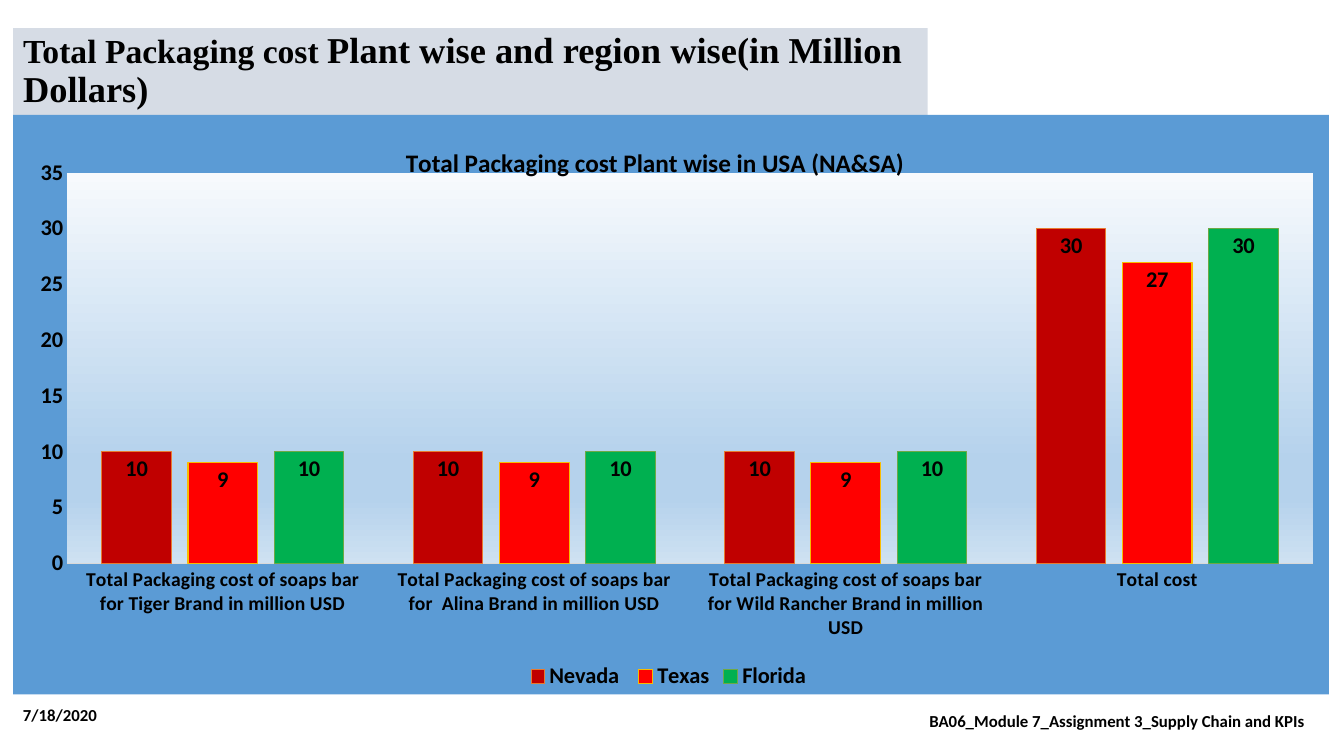
from dataclasses import dataclass

from lxml.etree import _Element
from pptx import Presentation
from pptx.chart.chart import Chart
from pptx.chart.data import CategoryChartData
from pptx.dml.color import RGBColor
from pptx.enum.chart import XL_CHART_TYPE, XL_LABEL_POSITION, XL_LEGEND_POSITION, XL_TICK_MARK
from pptx.enum.text import MSO_ANCHOR, PP_ALIGN
from pptx.oxml import parse_xml
from pptx.slide import Slide
from pptx.text.text import Font
from pptx.util import Inches, Pt

BLACK = RGBColor(0, 0, 0)
TITLE_FILL = RGBColor(0xD6, 0xDC, 0xE5)
AXIS_GRAY = RGBColor(0xD9, 0xD9, 0xD9)
CHART_BLUE = RGBColor(0x5B, 0x9B, 0xD5)
GRADIENT = [(0, RGBColor(0xF7, 0xFA, 0xFD)), (74, RGBColor(0xB5, 0xD2, 0xEC)),
            (83, RGBColor(0xB5, 0xD2, 0xEC)), (100, RGBColor(0xCE, 0xE1, 0xF2))]
NAMESPACES = ('xmlns:c="http://schemas.openxmlformats.org/drawingml/2006/chart" '
              'xmlns:a="http://schemas.openxmlformats.org/drawingml/2006/main"')


@dataclass
class Plant:
    name: str
    costs: list[int]
    fill: RGBColor
    line: RGBColor


@dataclass
class Caption:
    text: str
    left: float
    top: float
    width: float
    alignment: PP_ALIGN


PLANTS = [
    Plant("Nevada ", [10, 10, 10, 30], RGBColor(0xC0, 0, 0), RGBColor(0xE8, 0x7A, 0x30)),
    Plant("Texas", [9, 9, 9, 27], RGBColor(0xFF, 0, 0), RGBColor(0xF9, 0xBC, 0)),
    Plant("Florida ", [10, 10, 10, 30], RGBColor(0, 0xB0, 0x50), RGBColor(0x6E, 0xA9, 0x45)),
]
COSTS = [
    "Total Packaging cost of soaps bar for Tiger Brand in million USD",
    "Total Packaging cost of soaps bar for  Alina Brand in million USD",
    "Total Packaging cost of soaps bar for Wild Rancher Brand in million USD",
    "Total cost",
]
CAPTIONS = [
    Caption("7/18/2020", 0.13, 6.89, 3, PP_ALIGN.LEFT),
    Caption("BA06_Module 7_Assignment 3_Supply Chain and KPIs", 8.83, 6.95, 4.5, PP_ALIGN.CENTER),
]


def format_font(font: Font, size: float, name: str = "Calibri") -> None:
    for attribute, value in {"size": Pt(size), "name": name, "bold": True}.items():
        setattr(font, attribute, value)
    font.color.rgb = BLACK


def chart_xml(tag: str, content: str) -> _Element:
    return parse_xml(f"<c:{tag} {NAMESPACES}>{content}</c:{tag}>")


def manual_layout(parent: _Element, index: int, target: str = "", **places: float) -> None:
    for layout in parent.xpath("c:layout"):
        parent.remove(layout)
    settings = [("layoutTarget", target)] if target else []
    settings += [("xMode", "edge"), ("yMode", "edge"), *places.items()]
    content = "".join(f'<c:{tag} val="{value}"/>' for tag, value in settings)
    parent.insert(index, chart_xml("layout", f"<c:manualLayout>{content}</c:manualLayout>"))


def add_title(slide: Slide) -> None:
    title = slide.shapes.title
    places = {"left": 0.13, "top": 0.28, "width": 9.07, "height": 0.86}
    for attribute, value in places.items():
        setattr(title, attribute, Inches(value))
    title.fill.solid()
    title.fill.fore_color.rgb = TITLE_FILL
    title.text_frame.vertical_anchor = MSO_ANCHOR.MIDDLE
    paragraph = title.text_frame.paragraphs[0]
    paragraph.alignment = PP_ALIGN.LEFT
    paragraph.line_spacing = 0.9
    for text, size in [("Total Packaging cost ", 24),
                       ("Plant wise and region wise(in Million Dollars)", 26)]:
        run = paragraph.add_run()
        run.text = text
        format_font(run.font, size, "Times New Roman")


def add_caption(slide: Slide, caption: Caption) -> None:
    box = slide.shapes.add_textbox(Inches(caption.left), Inches(caption.top),
                                   Inches(caption.width), Inches(0.4))
    box.text_frame.word_wrap = True
    box.text_frame.vertical_anchor = MSO_ANCHOR.MIDDLE
    paragraph = box.text_frame.paragraphs[0]
    paragraph.alignment = caption.alignment
    run = paragraph.add_run()
    run.text = caption.text
    format_font(run.font, 12)


def fill_backgrounds(chart: Chart) -> None:
    chart_space = chart.element
    chart_space.xpath("c:txPr")[0].addprevious(chart_xml(
        "spPr", f'<a:solidFill><a:srgbClr val="{CHART_BLUE}"/></a:solidFill>'
                "<a:ln><a:noFill/></a:ln>"))
    stops = "".join(f'<a:gs pos="{position * 1000}"><a:srgbClr val="{color}"/></a:gs>'
                    for position, color in GRADIENT)
    plot_area = chart_space.xpath("c:chart/c:plotArea")[0]
    plot_area.append(chart_xml(
        "spPr", f'<a:gradFill><a:gsLst>{stops}</a:gsLst><a:lin ang="5400000" scaled="0"/>'
                "</a:gradFill><a:ln><a:noFill/></a:ln>"))
    manual_layout(plot_area, 0, "inner", x=0.041, y=0.1, w=0.947, h=0.674)


def format_axes(chart: Chart) -> None:
    for axis, size in [(chart.category_axis, 14), (chart.value_axis, 16)]:
        axis.major_tick_mark = axis.minor_tick_mark = XL_TICK_MARK.NONE
        axis.has_major_gridlines = False
        format_font(axis.tick_labels.font, size)
    chart.category_axis.format.line.color.rgb = AXIS_GRAY
    chart.category_axis.format.line.width = Pt(0.75)
    scale = {"minimum_scale": 0, "maximum_scale": 35, "major_unit": 5}
    for attribute, value in scale.items():
        setattr(chart.value_axis, attribute, value)
    chart.value_axis.format.line.fill.background()


def add_cost_chart(slide: Slide) -> None:
    data = CategoryChartData()
    data.categories = COSTS
    for plant in PLANTS:
        data.add_series(plant.name, plant.costs)
    chart = slide.shapes.add_chart(XL_CHART_TYPE.COLUMN_CLUSTERED, Inches(0.13), Inches(1.14),
                                   Inches(13.05), Inches(5.75), data).chart
    chart.font.name = "Calibri"
    chart.font.size = Pt(10)
    chart.font.color.rgb = BLACK

    chart.has_title = True
    run = chart.chart_title.text_frame.paragraphs[0].add_run()
    run.text = "Total Packaging cost Plant wise in USA (NA&SA)"
    format_font(run.font, 18)
    manual_layout(chart.element.xpath("c:chart/c:title")[0], 1, x=0.295, y=0.045)

    chart.has_legend = True
    chart.legend.position = XL_LEGEND_POSITION.BOTTOM
    chart.legend.include_in_layout = False
    format_font(chart.legend.font, 16)

    plot = chart.plots[0]
    for attribute, value in {"gap_width": 100, "overlap": -24, "vary_by_categories": False}.items():
        setattr(plot, attribute, value)
    for series, plant in zip(plot.series, PLANTS):
        series.format.fill.solid()
        series.format.fill.fore_color.rgb = plant.fill
        series.format.line.color.rgb = plant.line
        series.format.line.width = Pt(0.75)
        series.data_labels.show_value = True
        series.data_labels.position = XL_LABEL_POSITION.INSIDE_END
        format_font(series.data_labels.font, 16)
    format_axes(chart)
    fill_backgrounds(chart)


def main() -> None:
    presentation = Presentation()
    presentation.slide_width = Inches(13.33)
    presentation.slide_height = Inches(7.5)
    slide = presentation.slides.add_slide(presentation.slide_layouts[5])
    add_title(slide)
    for caption in CAPTIONS:
        add_caption(slide, caption)
    add_cost_chart(slide)
    presentation.save("out.pptx")


if __name__ == "__main__":
    main()
